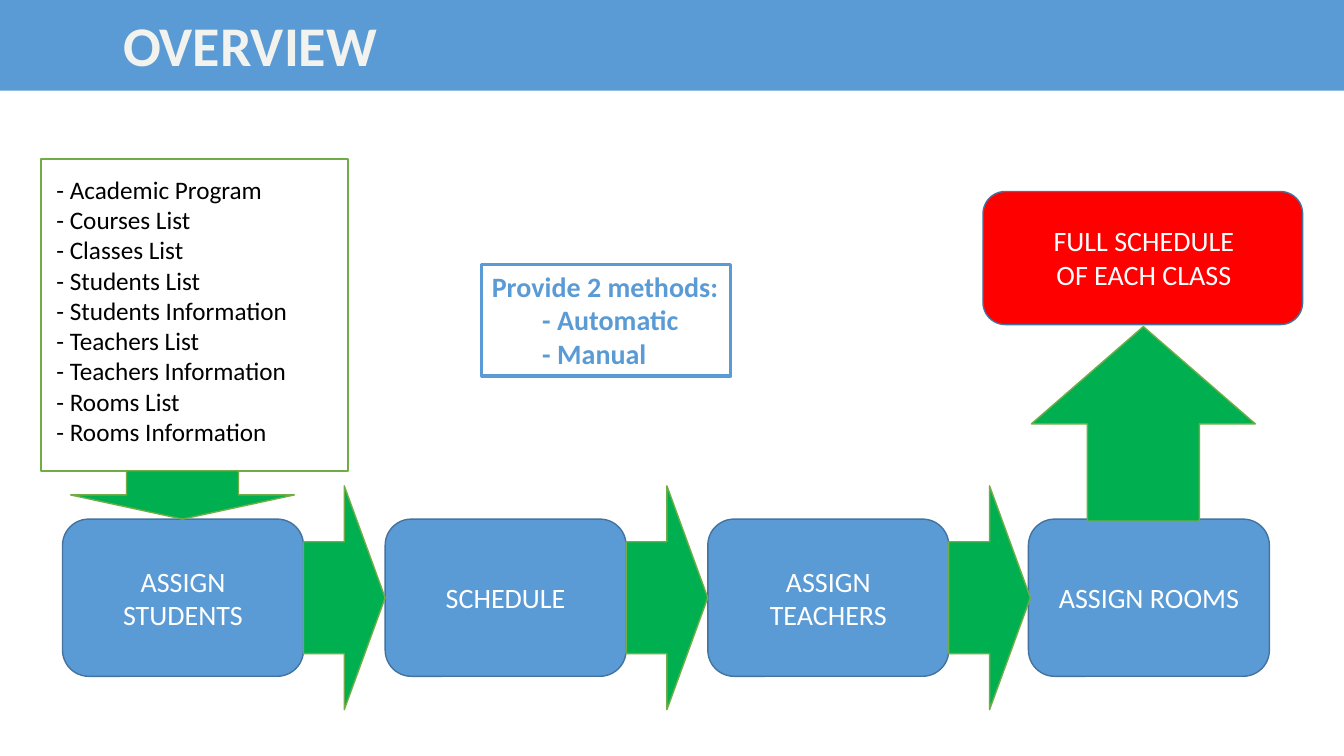
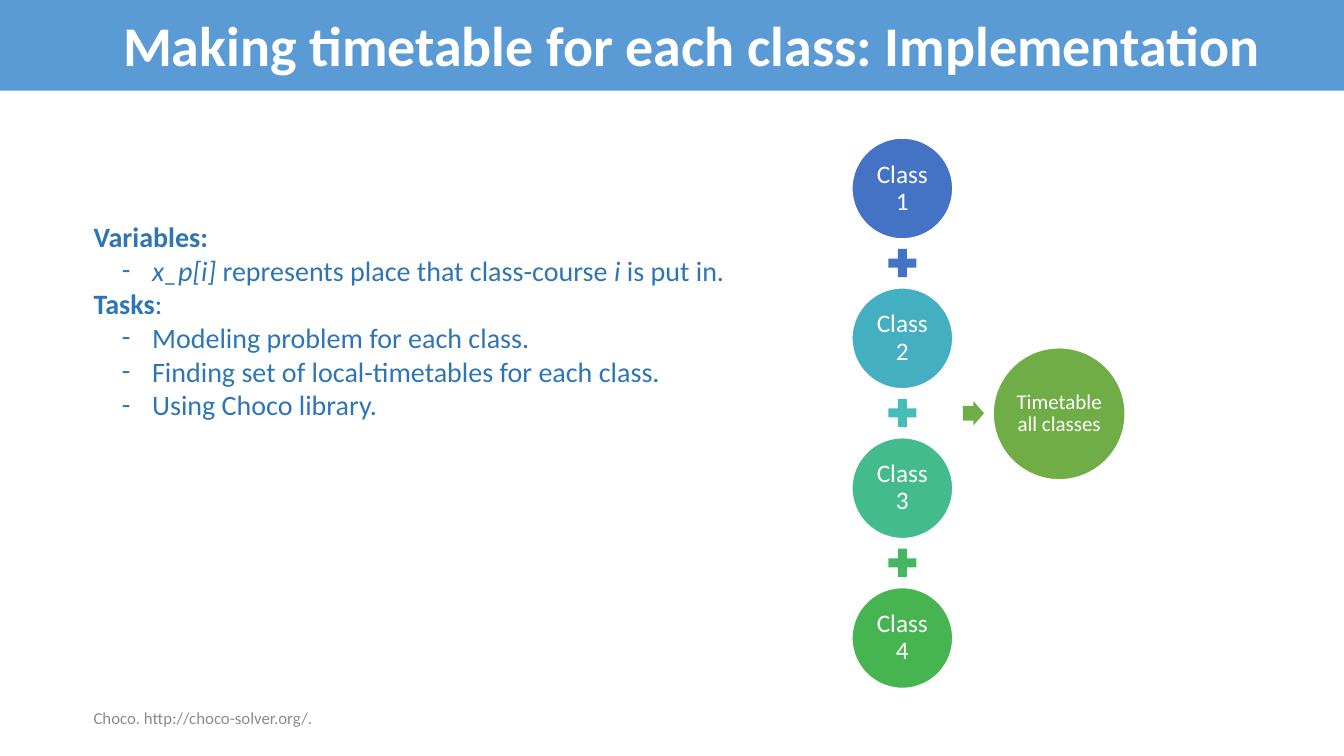
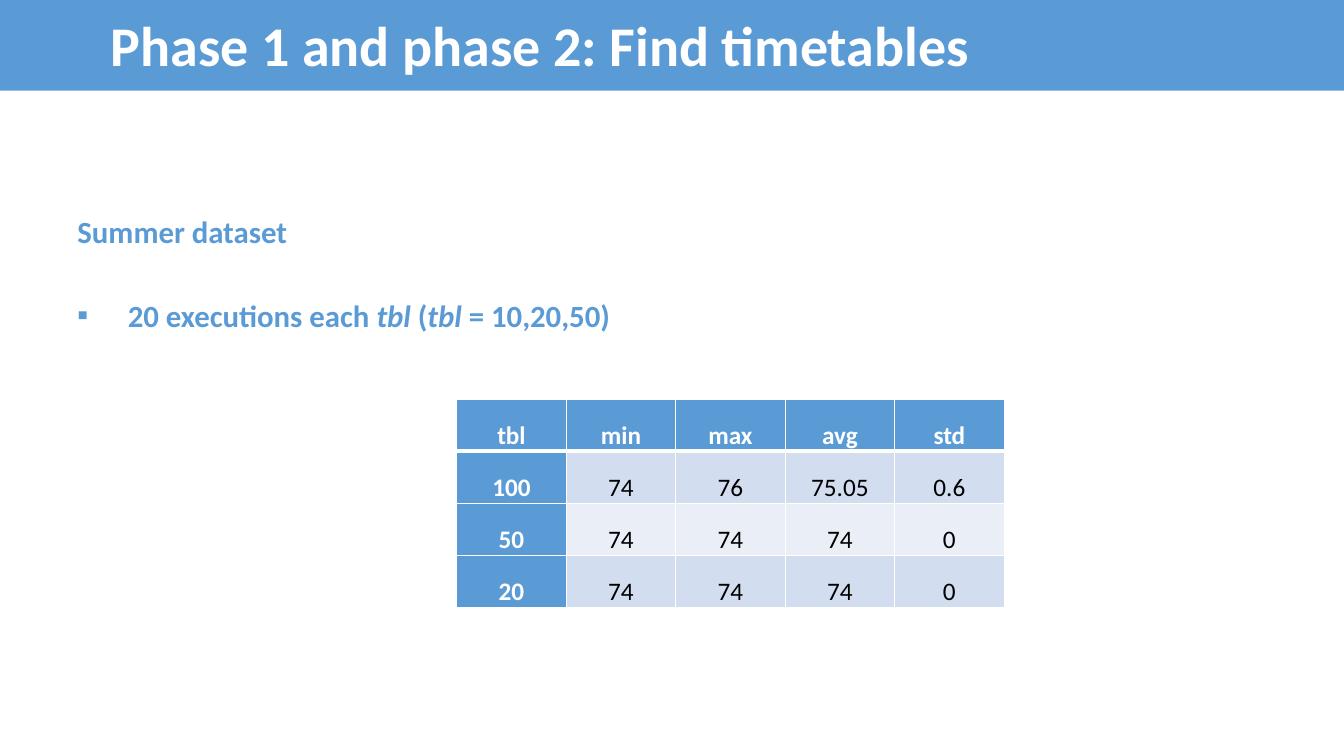
from dataclasses import dataclass
from typing import Optional, Union

from pptx import Presentation
from pptx.dml.color import RGBColor
from pptx.enum import shapes, text
from pptx.oxml import parse_xml
from pptx.oxml import ns
from pptx.util import Inches, Pt

# Shared style
FONT = "Calibri"
BLUE = RGBColor(0x5B, 0x9B, 0xD5)
BLUE_EDGE = RGBColor(0x43, 0x73, 0x9E)
DARK_BLUE = RGBColor(0x2E, 0x75, 0xB6)
GREEN = RGBColor(0x00, 0xB0, 0x50)
LEAF = RGBColor(0x70, 0xAD, 0x47)
RED = RGBColor(0xFF, 0x00, 0x00)
WHITE = RGBColor(0xFF, 0xFF, 0xFF)
OFF_WHITE = RGBColor(0xF2, 0xF2, 0xEF)
BLACK = RGBColor(0x00, 0x00, 0x00)
GREY = RGBColor(0x8C, 0x8C, 0x8C)
ROW_FILLS = (RGBColor(0xD2, 0xDE, 0xEF), RGBColor(0xEA, 0xEF, 0xF7))

SHAPE = shapes.MSO_SHAPE
LEFT, CENTER = text.PP_ALIGN.LEFT, text.PP_ALIGN.CENTER
TOP, MIDDLE, BOTTOM = (text.MSO_ANCHOR.TOP, text.MSO_ANCHOR.MIDDLE,
                       text.MSO_ANCHOR.BOTTOM)
INSETS = (0.1, 0.05, 0.1, 0.05)


@dataclass
class Run:
    text: str
    bold: Optional[bool] = None
    italic: bool = False


@dataclass
class Para:
    runs: list[Run]
    bullet: str = ""
    left: float = 0
    hanging: float = 0


@dataclass
class ClassStep:
    name: str
    fill: RGBColor
    plus_fill: Optional[RGBColor] = None


CLASS_STEPS = [
    ClassStep("Class 1", RGBColor(0x44, 0x72, 0xC4), RGBColor(0x44, 0x72, 0xC4)),
    ClassStep("Class 2", RGBColor(0x43, 0xAF, 0xC0), RGBColor(0x43, 0xBE, 0xB9)),
    ClassStep("Class 3", RGBColor(0x43, 0xBB, 0x8D), RGBColor(0x45, 0xB6, 0x64)),
    ClassStep("Class 4", RGBColor(0x45, 0xB4, 0x51)),
]


# Drawing helpers
def write(tf, lines: list[Union[str, Para]], *, size: float, color: RGBColor,
          bold: bool = False, align=LEFT, spacing: Optional[float] = None,
          before: float = 0) -> None:
    """Fill a text frame, one paragraph for each line."""
    for i, line in enumerate(lines):
        para = Para([Run(line)]) if isinstance(line, str) else line
        p = tf.paragraphs[0] if i == 0 else tf.add_paragraph()
        p.alignment = align
        p.space_before = Pt(before)
        if spacing:
            p.line_spacing = spacing
        pPr = p._p.get_or_add_pPr()
        pPr.set("marL", str(Inches(para.left)))
        pPr.set("indent", str(-Inches(para.hanging)))
        if para.bullet:
            pPr.append(parse_xml(f'<a:buFont {ns.nsdecls("a")} typeface="{FONT}"/>'))
            pPr.append(parse_xml(f'<a:buChar {ns.nsdecls("a")} char="{para.bullet}"/>'))
        for run in para.runs:
            r = p.add_run()
            r.text = run.text
            r.font.name, r.font.size = FONT, Pt(size)
            r.font.bold = bold if run.bold is None else run.bold
            r.font.italic = run.italic
            r.font.color.rgb = color


def set_frame(tf, anchor, insets: tuple, wrap: bool) -> None:
    tf.word_wrap = wrap
    tf.vertical_anchor = anchor
    tf.margin_left, tf.margin_top, tf.margin_right, tf.margin_bottom = map(Inches, insets)


def add_shape(slide, kind, x: float, y: float, w: float, h: float, fill: RGBColor,
              line: Optional[RGBColor] = None, line_width: float = 1,
              lines: Optional[list] = None, anchor=MIDDLE, insets: tuple = INSETS,
              wrap: bool = True, **fmt):
    sp = slide.shapes.add_shape(kind, Inches(x), Inches(y), Inches(w), Inches(h))
    sp.shadow.inherit = False
    sp.fill.solid()
    sp.fill.fore_color.rgb = fill
    if line is None:
        sp.line.fill.background()
    else:
        sp.line.color.rgb = line
        sp.line.width = Pt(line_width)
    if lines:
        set_frame(sp.text_frame, anchor, insets, wrap)
        write(sp.text_frame, lines, **fmt)
    return sp


def add_text(slide, x: float, y: float, w: float, h: float, lines: list,
             anchor=TOP, insets: tuple = INSETS, wrap: bool = True, **fmt) -> None:
    tf = slide.shapes.add_textbox(Inches(x), Inches(y), Inches(w), Inches(h)).text_frame
    set_frame(tf, anchor, insets, wrap)
    write(tf, lines, **fmt)


def add_slide(prs, title: str, color: RGBColor = WHITE, title_left: float = 1.22):
    """Blank slide with the title band."""
    slide = prs.slides.add_slide(prs.slide_layouts[6])
    add_shape(slide, SHAPE.RIGHT_ARROW, 0, -0.51, 14.71, 1.88, BLUE, lines=[title],
              insets=(title_left, 0.07, 0.1, 0.05), size=40, color=color, bold=True)
    return slide


def set_borders(cell, top: float, bottom: float) -> None:
    tcPr = cell._tc.get_or_add_tcPr()
    for side, width in (("L", 1), ("R", 1), ("T", top), ("B", bottom)):
        tcPr.append(parse_xml(
            f'<a:ln{side} {ns.nsdecls("a")} w="{Pt(width)}"><a:solidFill>'
            f'<a:srgbClr val="{WHITE}"/></a:solidFill></a:ln{side}>'))


# Slides
def overview_slide(prs) -> None:
    slide = add_slide(prs, "OVERVIEW", OFF_WHITE)
    label = dict(size=20, color=WHITE, align=CENTER)

    # Input lists and result
    inputs = ["Academic Program", "Courses List", "Classes List", "Students List",
              "Students Information", "Teachers List", "Teachers Information",
              "Rooms List", "Rooms Information"]
    add_shape(slide, SHAPE.RECTANGLE, 0.41, 1.58, 3.04, 3.09, WHITE, LEAF, 1.25)
    add_text(slide, 0.41, 1.68, 3.04, 2.83, [f"- {name}" for name in inputs],
             insets=(0.15, 0.05, 0.1, 0.05), size=18, color=BLACK)
    add_shape(slide, SHAPE.ROUNDED_RECTANGLE, 9.75, 1.9, 3.17, 1.32, RED, BLUE_EDGE)
    add_text(slide, 10.34, 2.17, 2.01, 0.77, ["FULL SCHEDULE", "OF EACH CLASS"],
             wrap=False, **label)

    # Steps, each joined to the next by an arrow
    steps = {"ASSIGN STUDENTS": 0.62, "SCHEDULE": 3.82,
             "ASSIGN TEACHERS": 7.02, "ASSIGN ROOMS": 10.2}
    top, width, height, arrow_w, arrow_h = 5.15, 2.39, 1.56, 0.81, 2.22
    for step, x in steps.items():
        add_shape(slide, SHAPE.ROUNDED_RECTANGLE, x, top, width, height, BLUE,
                  BLUE_EDGE, lines=[step], **label)
    for x in list(steps.values())[:-1]:
        add_shape(slide, SHAPE.RIGHT_ARROW, x + width, top + (height - arrow_h) / 2,
                  arrow_w, arrow_h, GREEN, LEAF)

    # Arrows into and out of the row
    add_shape(slide, SHAPE.DOWN_ARROW, 0.7, 4.67, 2.22, 0.48, GREEN, LEAF)
    add_shape(slide, SHAPE.UP_ARROW, 10.23, 3.24, 2.22, 1.93, GREEN, LEAF)

    # Methods
    methods = [Para([Run(f"- {name}")], left=0.5) for name in ("Automatic", "Manual")]
    add_shape(slide, SHAPE.RECTANGLE, 4.78, 2.62, 2.47, 1.11, WHITE, BLUE, 2.25,
              lines=["Provide 2 methods:", *methods], anchor=TOP, wrap=False,
              size=20, color=BLUE, bold=True)


def implementation_slide(prs) -> None:
    slide = add_slide(prs, "Making timetable for each class: Implementation")

    # Variables and tasks
    def item(*runs: Run) -> Para:
        return Para(list(runs), bullet="-", left=0.58, hanging=0.3)

    tasks = ["Modeling problem for each class.",
             "Finding set of local-timetables for each class.",
             "Using Choco library."]
    add_text(slide, 0.83, 2.13, 6.81, 2.46, [
        Para([Run("Variables:", bold=True)]),
        item(Run("x_p[i]", italic=True), Run(" represents place that class-course "),
             Run("i", italic=True), Run(" is put in.")),
        Para([Run("Tasks", bold=True), Run(":")]),
        *(item(Run(task)) for task in tasks),
    ], size=20, color=DARK_BLUE)
    add_text(slide, 0.83, 6.92, 4.5, 0.4, ["Choco. http://choco-solver.org/."],
             anchor=MIDDLE, size=12, color=GREY)

    # Column of classes that add up to the timetable
    label = dict(color=WHITE, align=CENTER, spacing=0.9)
    first, last = 1.37, 5.83
    pitch = (last - first) / (len(CLASS_STEPS) - 1)
    for i, step in enumerate(CLASS_STEPS):
        y = first + i * pitch
        add_shape(slide, SHAPE.OVAL, 8.45, y, 1, 1, step.fill, WHITE,
                  lines=[step.name], insets=(0.03,) * 4, size=18, **label)
        if step.plus_fill:
            add_shape(slide, SHAPE.MATH_PLUS, 8.76, y + 1.05, 0.38, 0.38, step.plus_fill)
    arrow = add_shape(slide, SHAPE.RIGHT_ARROW, 9.55, 3.98, 0.21, 0.24, LEAF)
    arrow.adjustments[0] = 0.6
    add_shape(slide, SHAPE.OVAL, 9.85, 3.45, 1.31, 1.31, LEAF, WHITE,
              lines=["Timetable all classes"], insets=(0.02,) * 4, size=15, **label)


def results_slide(prs) -> None:
    slide = add_slide(prs, "Phase 1 and phase 2: Find timetables", title_left=1.1)

    # Dataset and bullet
    heading = dict(size=22, color=BLUE, bold=True)
    add_shape(slide, SHAPE.RECTANGLE, 0.67, 2.89, 9.79, 0.47, WHITE, lines=[Para(
        [Run("20 executions each "), Run("tbl", italic=True), Run(" ("),
         Run("tbl ", italic=True), Run("= 10,20,50)")],
        bullet="▪", left=0.5, hanging=0.5)], anchor=TOP, **heading)
    add_text(slide, 0.67, 2.06, 2.3, 0.47, ["Summer dataset"], wrap=False, **heading)

    # Results table
    rows = [("tbl", "min", "max", "avg", "std"),
            ("100", "74", "76", "75.05", "0.6"),
            ("50", "74", "74", "74", "0"),
            ("20", "74", "74", "74", "0")]
    table = slide.shapes.add_table(len(rows), len(rows[0]), Inches(4.53), Inches(3.96),
                                   Inches(5.43), Inches(2.07)).table
    table.first_col = True
    for i, row in enumerate(rows):
        for j, value in enumerate(row):
            cell = table.cell(i, j)
            head = i == 0 or j == 0
            set_borders(cell, top=3 if i == 1 else 1, bottom=3 if i == 0 else 1)
            cell.fill.solid()
            cell.fill.fore_color.rgb = BLUE if head else ROW_FILLS[(i - 1) % 2]
            cell.vertical_anchor = BOTTOM
            cell.margin_left = cell.margin_right = Inches(0.07)
            cell.margin_top = cell.margin_bottom = 0
            write(cell.text_frame, [value], size=18, color=WHITE if head else BLACK,
                  bold=head, align=CENTER, before=6)


def main() -> None:
    prs = Presentation()
    prs.slide_width, prs.slide_height = Inches(13.33), Inches(7.5)
    overview_slide(prs)
    implementation_slide(prs)
    results_slide(prs)
    prs.save("out.pptx")


if __name__ == "__main__":
    main()
